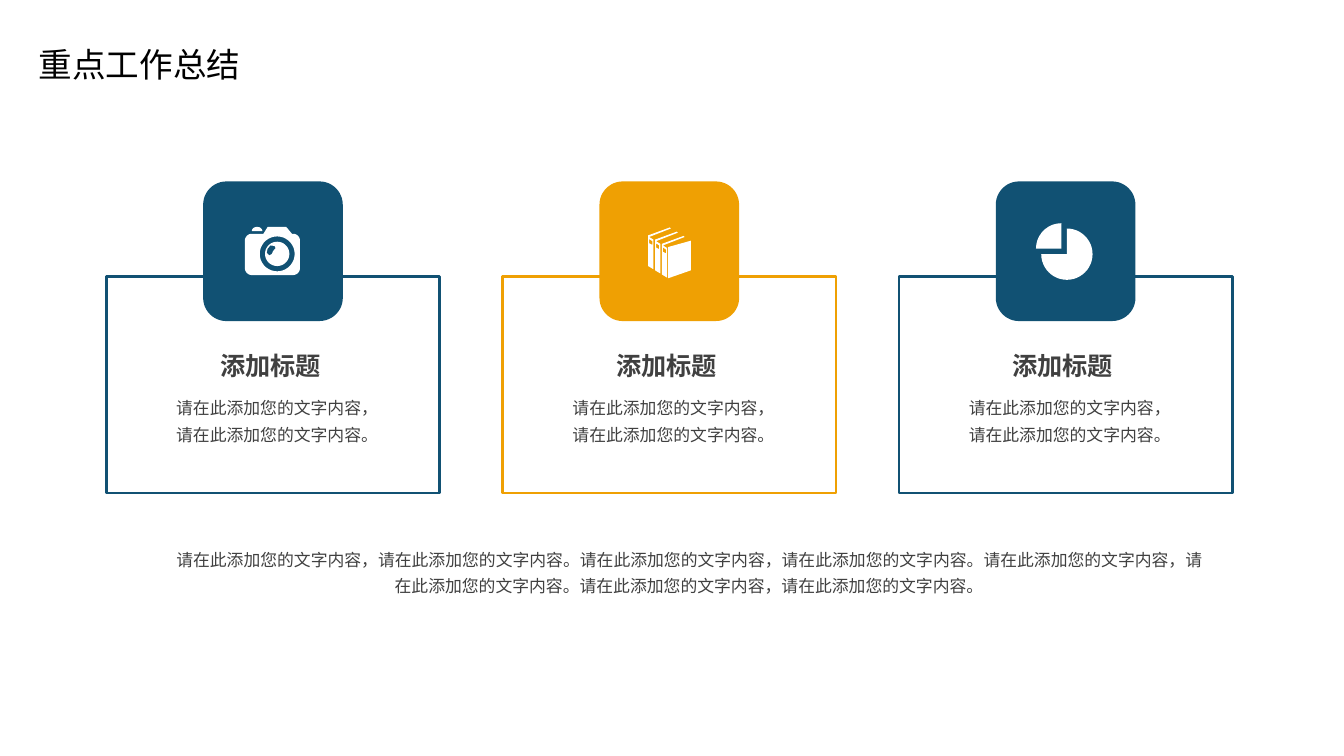
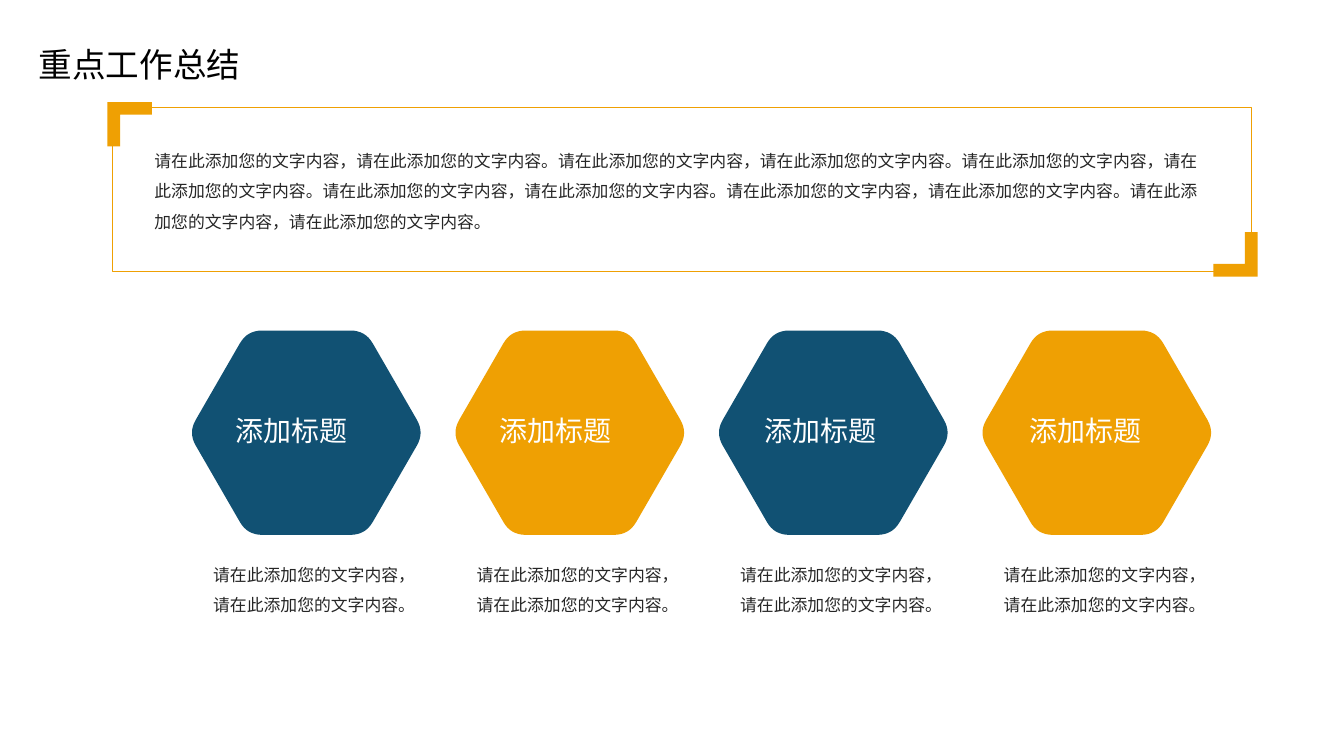
from dataclasses import dataclass
from math import cos, radians, sin

from lxml.etree import SubElement
from pptx import Presentation
from pptx.dml.color import RGBColor
from pptx.enum.shapes import MSO_SHAPE as Preset
from pptx.enum.text import MSO_ANCHOR as Anchor
from pptx.enum.text import MSO_AUTO_SIZE as AutoSize
from pptx.enum.text import PP_ALIGN as Align
from pptx.oxml.ns import qn
from pptx.shapes.autoshape import Shape
from pptx.slide import Slide
from pptx.util import Cm, Pt

Point = tuple[float, float]
Outline = list[Point]

BLUE = RGBColor(0x11, 0x51, 0x73)
ORANGE = RGBColor(0xEF, 0xA0, 0x03)
WHITE = RGBColor(0xFF, 0xFF, 0xFF)
BLACK = RGBColor(0x00, 0x00, 0x00)
GREY = RGBColor(0x40, 0x40, 0x40)
DARK = RGBColor(0x26, 0x26, 0x26)

FONT = "Noto Sans CJK SC"
TITLE = "重点工作总结"
HEADING = "添加标题"
PHRASE = "请在此添加您的文字内容，请在此添加您的文字内容。"


@dataclass(frozen=True)
class Area:
    left: float
    top: float
    width: float
    height: float

    def lengths(self) -> tuple[Cm, Cm, Cm, Cm]:
        return Cm(self.left), Cm(self.top), Cm(self.width), Cm(self.height)


@dataclass(frozen=True)
class Style:
    size: float
    color: RGBColor
    bold: bool = False
    align: Align = Align.LEFT
    spacing: float = 1.0


TITLE_STYLE = Style(18, BLACK)
CARD_HEADING = Style(13.5, GREY, bold=True)
CARD_TEXT = Style(9, GREY, spacing=1.3)
SUMMARY = Style(9, GREY, align=Align.CENTER, spacing=1.3)
HEXAGON_LABEL = Style(15, WHITE, align=Align.JUSTIFY)
DETAIL = Style(9, DARK, spacing=1.5)


def write(box: Shape, text: str, style: Style, wrap: bool = True) -> None:
    frame = box.text_frame
    frame.text = text
    frame.word_wrap = wrap
    frame.auto_size = AutoSize.SHAPE_TO_FIT_TEXT
    frame.vertical_anchor = Anchor.TOP
    frame.margin_left = frame.margin_right = Cm(0.25)
    frame.margin_top = frame.margin_bottom = Cm(0.04)
    para = frame.paragraphs[0]
    para.alignment = style.align
    para.line_spacing = style.spacing
    span = para.runs[0]
    span.font.name = FONT
    span.font.size = Pt(style.size)
    span.font.bold = style.bold
    span.font.color.rgb = style.color
    SubElement(span.font._element, qn("a:ea"), typeface=FONT)


def add_text(page: Slide, area: Area, text: str, style: Style) -> None:
    write(page.shapes.add_textbox(*area.lengths()), text, style)


def fill(shape: Shape, color: RGBColor) -> None:
    shape.shadow.inherit = False
    shape.fill.solid()
    shape.fill.fore_color.rgb = color
    shape.line.fill.background()


def add_filled(page: Slide, kind: Preset, area: Area, color: RGBColor) -> Shape:
    shape = page.shapes.add_shape(kind, *area.lengths())
    fill(shape, color)
    return shape


def add_frame(page: Slide, kind: Preset, area: Area, color: RGBColor, weight: float) -> Shape:
    shape = page.shapes.add_shape(kind, *area.lengths())
    shape.shadow.inherit = False
    shape.fill.background()
    shape.line.color.rgb = color
    shape.line.width = Pt(weight)
    return shape


def add_outlines(page: Slide, origin: Point, outlines: list[Outline], color: RGBColor) -> None:
    placed = [[(Cm(origin[0] + x), Cm(origin[1] + y)) for x, y in outline] for outline in outlines]
    builder = page.shapes.build_freeform(*placed[0][0], scale=1.0)
    for index, points in enumerate(placed):
        if index:
            builder.move_to(*points[0])
        builder.add_line_segments(points[1:], close=True)
    fill(builder.convert_to_shape(), color)


def arc(center: Point, across: float, down: float, start: int, end: int) -> Outline:
    steps = max(6, (end - start) // 10)
    angles = [radians(start + (end - start) * n / steps) for n in range(steps + 1)]
    return [(center[0] + across * cos(a), center[1] + down * sin(a)) for a in angles]


def circle(center: Point, radius: float) -> Outline:
    return arc(center, radius, radius, 0, 360)[:-1]


def toward(start: Point, end: Point, share: float) -> Point:
    return start[0] + (end[0] - start[0]) * share, start[1] + (end[1] - start[1]) * share


def rounded_hexagon(radius: float, trim: float) -> Outline:
    corners = [(radius * cos(radians(60 * n)), radius * sin(radians(60 * n))) for n in range(6)]
    points: Outline = []
    for n, corner in enumerate(corners):
        start = toward(corner, corners[n - 1], trim / radius)
        end = toward(corner, corners[(n + 1) % 6], trim / radius)
        for step in range(9):
            t = step / 8
            points.append(toward(toward(start, corner, t), toward(corner, end, t), t))
    return points


def draw_camera(page: Slide, origin: Point) -> None:
    left, top, right, bottom, radius = 0.79, 0.99, 1.83, 1.77, 0.13
    body = [(1.14, top), (1.22, 0.86), (1.57, 0.86), (1.68, top)]
    for x, y, start in (
        (right - radius, top + radius, 270),
        (right - radius, bottom - radius, 0),
        (left + radius, bottom - radius, 90),
        (left + radius, top + radius, 180),
    ):
        body += arc((x, y), radius, radius, start, start + 90)
    button = arc((1.02, 0.94), 0.1, 0.08, 180, 360)
    lens = (1.4, 1.37)
    glint = [(1.35, 1.22), (1.27, 1.21), (1.22, 1.27), (1.2, 1.35),
             (1.25, 1.4), (1.3, 1.37), (1.32, 1.32), (1.37, 1.26)]
    add_outlines(page, origin, [body, button, circle(lens, 0.33), circle(lens, 0.23), glint], WHITE)


def draw_books(page: Slide, origin: Point) -> None:
    spine = [(0, 0), (0.41, -0.15), (0.43, -0.13), (0.02, 0.03), (0.1, 0.08), (0.1, 0.64), (0, 0.58)]
    label = [(0.02, 0.07), (0.08, 0.11), (0.08, 0.18), (0.02, 0.15)]
    cover = [(1.3, 1.24), (1.3, 1.83), (1.73, 1.68), (1.73, 1.12)]
    outlines = [cover]
    for n in range(3):
        for part in (spine, label):
            outlines.append([(0.92 + 0.13 * n + x, 1.02 + 0.08 * n + y) for x, y in part])
    add_outlines(page, origin, outlines, WHITE)


def draw_chart_icon(page: Slide, origin: Point) -> None:
    pie = add_filled(page, Preset.PIE, Area(origin[0] + 0.86, origin[1] + 0.89, 0.97, 0.97), WHITE)
    pie.adjustments[0] = 162
    pie.adjustments[1] = 108
    center = (1.24, 1.27)
    add_outlines(page, origin, [[center] + arc(center, 0.48, 0.48, 180, 270)], WHITE)


def draw_bracket(page: Slide, corner: Point, direction: int) -> None:
    arm, thick = 0.84, 0.24
    points = [(0, 0), (arm, 0), (arm, thick), (thick, thick), (thick, arm), (0, arm)]
    add_outlines(page, corner, [[(direction * x, direction * y) for x, y in points]], ORANGE)


def add_page(deck: Presentation) -> Slide:
    page = deck.slides.add_slide(deck.slide_layouts[5])
    title = page.shapes.title
    title.left, title.top, title.width, title.height = Area(0.48, 0.79, 4.37, 1.02).lengths()
    write(title, TITLE, TITLE_STYLE, wrap=False)
    return page


def build_cards(deck: Presentation) -> None:
    page = add_page(deck)
    width, badge = 6.3, 2.64
    cards = ((BLUE, draw_camera), (ORANGE, draw_books), (BLUE, draw_chart_icon))
    for n, (color, draw_icon) in enumerate(cards):
        left = 2.01 + 7.49 * n
        origin = (left + (width - badge) / 2, 3.43)
        add_frame(page, Preset.RECTANGLE, Area(left, 5.23, width, 4.09), color, 1.5)
        add_filled(page, Preset.ROUNDED_RECTANGLE, Area(*origin, badge, badge), color)
        draw_icon(page, origin)
        add_text(page, Area(left + 1.9, 6.58, 2.49, 0.84), HEADING, CARD_HEADING)
        add_text(page, Area(left + 1.07, 7.37, 4.11, 1.24), PHRASE, CARD_TEXT)
    add_text(page, Area(3.07, 10.24, 19.89, 1.24), PHRASE * 4, SUMMARY)


def build_hexagons(deck: Presentation) -> None:
    page = add_page(deck)
    frame = add_frame(page, Preset.ROUNDED_RECTANGLE, Area(2.13, 2.03, 21.51, 3.1), ORANGE, 0.25)
    frame.adjustments[0] = 0
    draw_bracket(page, (2.03, 1.93), 1)
    draw_bracket(page, (23.77, 5.23), -1)
    add_text(page, Area(2.67, 2.62, 20.5, 1.98), PHRASE * 6, DETAIL)
    hexagon = rounded_hexagon(2.23, 0.28)
    for n, color in enumerate((BLUE, ORANGE, BLUE, ORANGE)):
        add_outlines(page, (5.79 + 4.98 * n, 8.18), [hexagon], color)
        add_text(page, Area(4.2 + 5 * n, 7.77, 3.02, 0.89), HEADING, HEXAGON_LABEL)
        add_text(page, Area(3.78 + 4.98 * n, 10.44, 4.02, 1.42), PHRASE, DETAIL)


def main() -> None:
    deck = Presentation()
    deck.slide_width, deck.slide_height = Cm(25.4), Cm(14.29)
    build_cards(deck)
    build_hexagons(deck)
    deck.save("out.pptx")


main()
